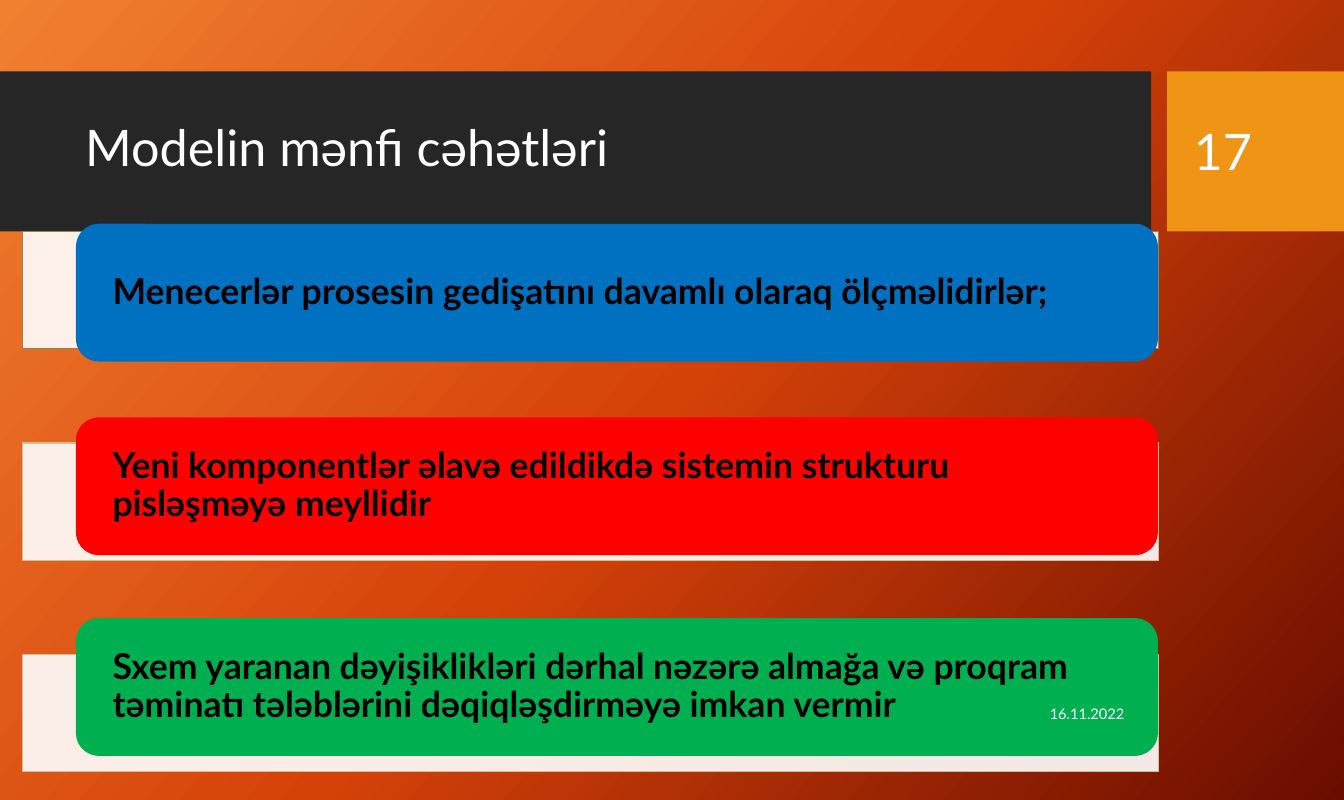
from copy import deepcopy

from lxml import etree
from pptx import Presentation
from pptx.dml.color import RGBColor
from pptx.enum.shapes import MSO_SHAPE
from pptx.enum.text import MSO_ANCHOR, PP_ALIGN
from pptx.oxml.ns import qn
from pptx.util import Cm, Pt

RECTANGLE = MSO_SHAPE.RECTANGLE
ROUNDED = MSO_SHAPE.ROUNDED_RECTANGLE
MIDDLE = MSO_ANCHOR.MIDDLE
LEFT, RIGHT = PP_ALIGN.LEFT, PP_ALIGN.RIGHT

WIDTH, HEIGHT = 32, 19.05
GRADIENT = [(0, "F18031"), (0.5, "D54209"), (1, "6A0D00")]
ROW_TOP, ROW_STEP = 5.51, 5.04
HEADING = {"size": Pt(34), "bold": False}
STATEMENT = {"size": Pt(24), "bold": True}
SMALL = {"size": Pt(9.9), "bold": False}
DRAWBACKS = [
    ("Menecerlər prosesin gedişatını davamlı olaraq ölçməlidirlər;",
     "0070C0", "8F864F", 0.18),
    ("Yeni komponentlər əlavə edildikdə sistemin strukturu pisləşməyə meyllidir",
     "FF0000", "C9C299", 0.61),
    ("Sxem yaranan dəyişiklikləri dərhal nəzərə almağa və proqram təminatı "
     "tələblərini dəqiqləşdirməyə imkan vermir",
     "00B050", "C9C299", 0.87),
]


def color(value):
    return RGBColor.from_string(value)


def lengths(box):
    return [Cm(value) for value in box]


def add_block(page, kind, box, fill, line=None, opacity=None):
    block = page.shapes.add_shape(kind, *lengths(box))
    block.shadow.inherit = False
    block.fill.solid()
    block.fill.fore_color.rgb = color(fill)
    if opacity is not None:
        tint = block.fill._xPr.find(f".//{qn('a:srgbClr')}")
        etree.SubElement(tint, qn("a:alpha"), val=str(opacity * 1000))
    if line:
        block.line.color.rgb = color(line)
        block.line.width = Pt(0.75)
    else:
        block.line.fill.background()
    return block


def write(shape, text, style, ink="FFFFFF", align=LEFT, spacing=1.0, side=0.25, edge=0.13):
    frame = shape.text_frame
    layout = {"word_wrap": True, "vertical_anchor": MIDDLE,
              "margin_left": Cm(side), "margin_right": Cm(side),
              "margin_top": Cm(edge), "margin_bottom": Cm(edge)}
    for name, value in layout.items():
        setattr(frame, name, value)
    para = frame.paragraphs[0]
    para.alignment = align
    para.line_spacing = spacing
    span = para.add_run()
    span.text = text
    span.font.name = "Lato"
    span.font.color.rgb = color(ink)
    for name, value in style.items():
        setattr(span.font, name, value)


def add_label(page, box, text, style, **options):
    write(page.shapes.add_textbox(*lengths(box)), text, style, **options)


def paint_background(page):
    fill = page.background.fill
    fill.gradient()
    fill.gradient_angle = 360 - 42
    stop_list = page.element.find(f".//{qn('a:gsLst')}")
    stop_list.append(deepcopy(stop_list[0]))
    for stop, (position, value) in zip(fill.gradient_stops, GRADIENT):
        stop.position = position
        stop.color.rgb = color(value)


def draw_header(page, box):
    left, top, width, height = box
    number_left = left + 27.79
    add_block(page, RECTANGLE, (left, top, 27.41, height), "262626")
    add_block(page, RECTANGLE, (number_left, top, left + width - number_left, height), "F09415")
    add_label(page, (left + 1.78, top + 0.38, 25.05, 3),
              "Modelin mənfi cəhətləri", HEADING, spacing=0.9)
    add_label(page, (number_left + 0.38, top + 0.38, 3.02, 3.02), "17", HEADING)


def draw_drawback(page, box, text, fill, line, lift):
    left, top, width, height = box
    add_block(page, RECTANGLE, box, "FFFFFF", line, 90)
    card_box = (left + 1.28, top - lift, width - 1.29, height + 0.49)
    card = add_block(page, ROUNDED, card_box, fill)
    write(card, text, STATEMENT, ink="000000", spacing=0.9, side=0.71, edge=0)


def draw_date(page, box):
    add_label(page, box, "16.11.2022", SMALL, align=RIGHT)


def main():
    deck = Presentation()
    deck.slide_width, deck.slide_height = Cm(WIDTH), Cm(HEIGHT)
    page = deck.slides.add_slide(deck.slide_layouts[6])
    paint_background(page)
    draw_header(page, (0, 1.7, WIDTH, 3.81))
    for index, drawback in enumerate(DRAWBACKS):
        draw_drawback(page, (0.53, ROW_TOP + index * ROW_STEP, 27.05, 2.79), *drawback)
    draw_date(page, (19.81, 16.48, 7.21, 1.02))
    deck.save("out.pptx")


if __name__ == "__main__":
    main()
